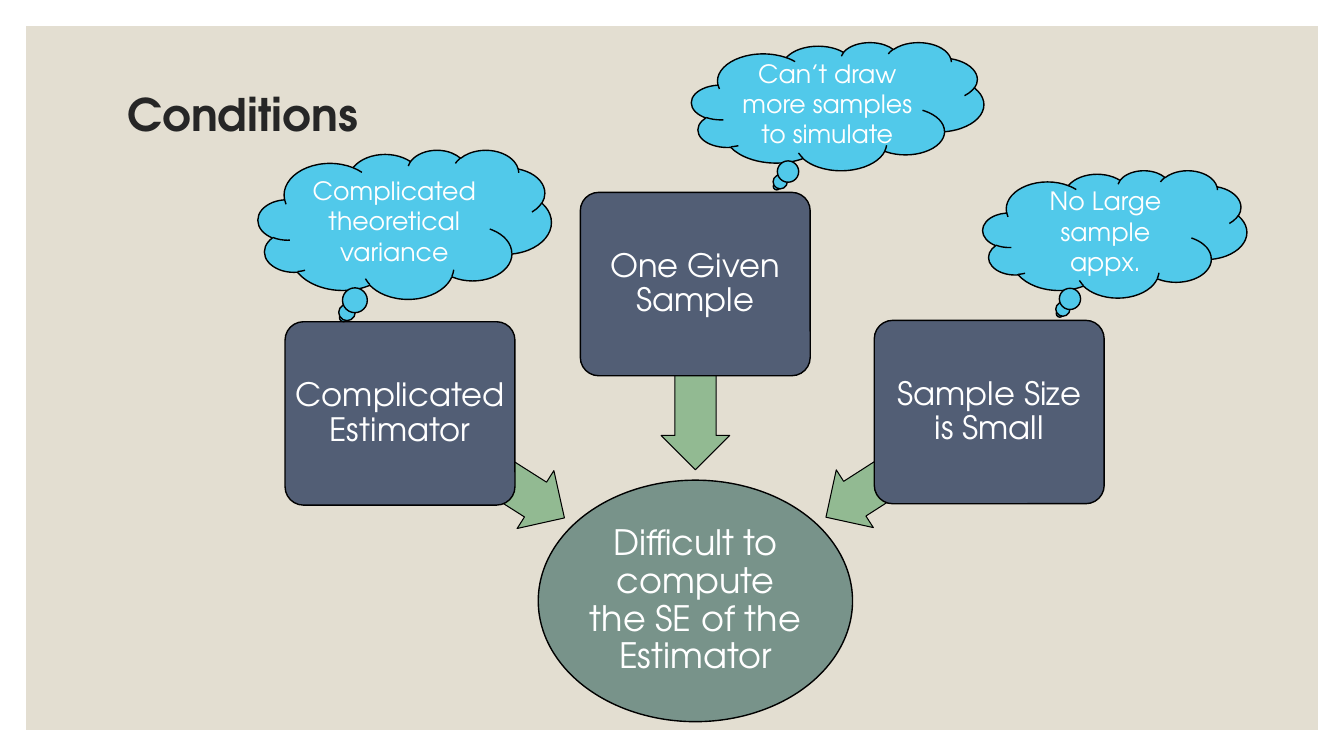
from dataclasses import dataclass
from pptx import Presentation
from pptx.dml.color import RGBColor as RGB
from pptx.enum.shapes import MSO_SHAPE as Kind
from pptx.enum.text import MSO_ANCHOR as Anchor, PP_ALIGN as Align
from pptx.util import Pt


@dataclass(frozen=True)
class Theme:
    font: str = "TeX Gyre Adventor"
    sand: str = "E3DED1"
    ink: str = "262626"
    edge: str = "000000"
    light: str = "FFFFFF"
    sage: str = "78938A"
    leaf: str = "92BA92"
    slate: str = "525E75"
    sky: str = "51C9EA"
    title: int = 32
    goal: int = 25
    box: int = 23
    cloud: int = 18


class Board:
    def __init__(self, slide, theme):
        self.slide, self.theme = slide, theme

    def shape(self, kind, at, fill, line=1):
        item = self.slide.shapes.add_shape(kind, *map(Pt, at))
        item.shadow.inherit = False
        item.fill.solid()
        item.fill.fore_color.rgb = RGB.from_string(fill)
        if line:
            item.line.color.rgb = RGB.from_string(self.theme.edge)
            item.line.width = Pt(line)
        else:
            item.line.fill.background()
        return item

    def label(self, item, text, size, color, align=Align.CENTER, space=0.9, inset=None):
        frame = item.text_frame
        frame.word_wrap = True
        frame.vertical_anchor = Anchor.MIDDLE
        if inset is not None:
            frame.margin_left = frame.margin_right = Pt(inset)
            frame.margin_top = frame.margin_bottom = Pt(inset)
        para = frame.paragraphs[0]
        para.text, para.alignment, para.line_spacing = text, align, space
        font = para.font
        font.name, font.size = self.theme.font, Pt(size)
        font.color.rgb = RGB.from_string(color)
        return font

    def title(self, text, at):
        item = self.slide.shapes.add_textbox(*map(Pt, at))
        font = self.label(item, text, self.theme.title, self.theme.ink, Align.LEFT)
        font.bold = True

    def goal(self, text, at):
        item = self.shape(Kind.OVAL, at, self.theme.sage)
        self.label(item, text, self.theme.goal, self.theme.light, inset=1.5)

    def arrow(self, at, turn):
        item = self.shape(Kind.LEFT_ARROW, at, self.theme.leaf, 0.75)
        item.adjustments[0] = 0.6
        item.rotation = turn

    def box(self, text, at):
        item = self.shape(Kind.ROUNDED_RECTANGLE, at, self.theme.slate)
        item.adjustments[0] = 0.1
        self.label(item, text, self.theme.box, self.theme.light, inset=3.5)

    def cloud(self, text, at):
        item = self.shape(Kind.CLOUD_CALLOUT, at, self.theme.sky)
        self.label(item, text, self.theme.cloud, self.theme.light, space=1)


deck = Presentation()
deck.slide_width, deck.slide_height = Pt(960), Pt(540)
theme = Theme()
board = Board(deck.slides.add_slide(deck.slide_layouts[6]), theme)

# Backdrop and title
EDGE = 18.7
board.shape(Kind.RECTANGLE, (EDGE, EDGE, 960 - 2 * EDGE, 540 - 2 * EDGE), theme.sand, 0)
board.title("Conditions", (84, 30, 792, 106.5))

# Outcome
board.goal("Difficult to compute the SE of the Estimator", (384.5, 343, 224.5, 172.5))

# Conditions: text, box corner, arrow left, top, length and turn
BOX = (164.2, 131)
THICK = 49
conds = [
    ("Complicated Estimator", (203.6, 229.8), (275, 308.2, 139), 212.4),
    ("One Given Sample", (414.5, 137.4), (430.5, 244.8, 132.5), 270),
    ("Sample Size is Small", (624.5, 228.8), (579, 307.4, 139), 327.3),
]
for text, spot, shaft, turn in conds:
    board.arrow((*shaft, THICK), turn)
    board.box(text, (*spot, *BOX))

# Remarks on each condition
clouds = [
    ("Can’t draw more samples to simulate", (494, 30.2, 208.8, 91.5)),
    ("Complicated theoretical variance", (184.3, 107, 209.5, 106.5)),
    ("No Large sample appx.", (702, 121.7, 188.6, 91)),
]
for text, at in clouds:
    board.cloud(text, at)

deck.save("out.pptx")
